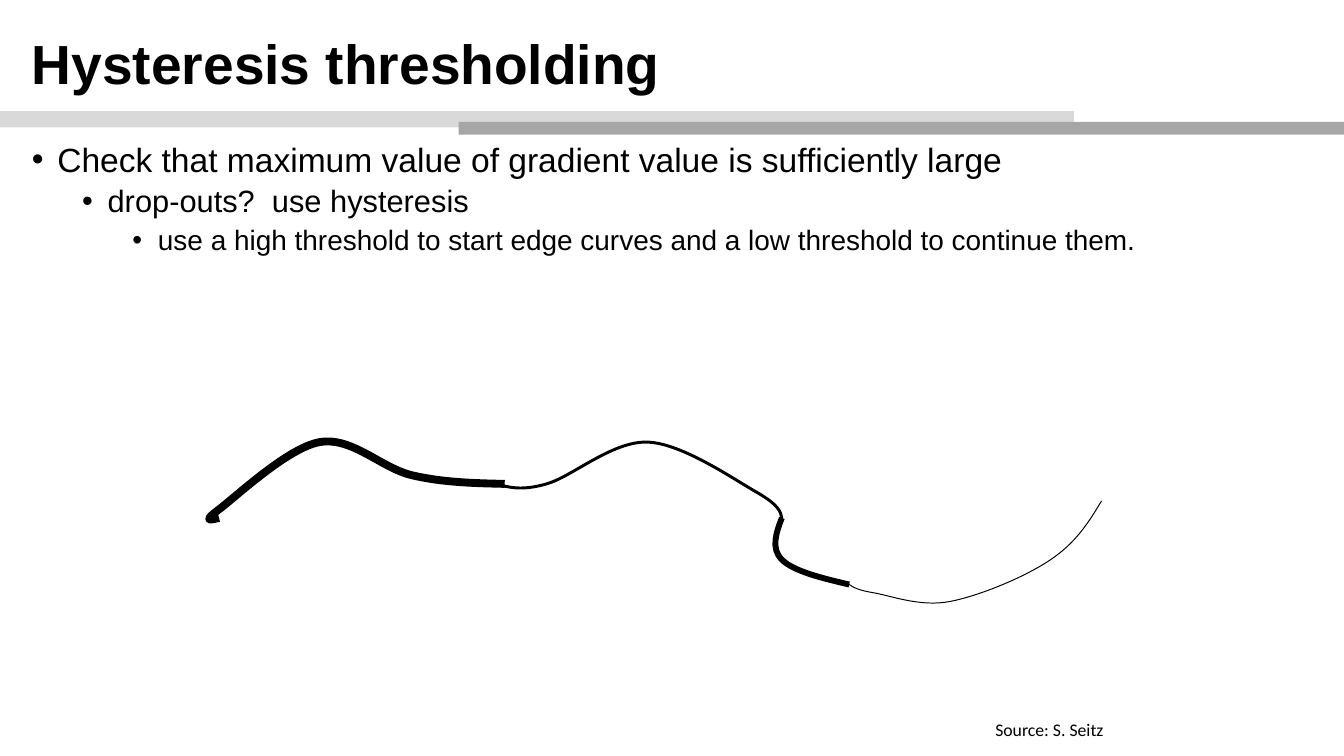
from dataclasses import dataclass

from lxml import etree
from pptx import Presentation
from pptx.dml.color import RGBColor
from pptx.enum import shapes, text
from pptx.oxml import ns
from pptx.util import Inches, Pt


@dataclass(frozen=True)
class Theme:
    ink: RGBColor = RGBColor(0, 0, 0)
    pale: RGBColor = RGBColor(0xD9, 0xD9, 0xD9)
    gray: RGBColor = RGBColor(0xA6, 0xA6, 0xA6)
    main: str = "Arial"
    note: str = "Calibri"
    title: float = 56
    levels: tuple = (34.1, 31.3, 28.4)
    source: float = 18


class Deck:
    def __init__(self, slide, theme):
        self.slide = slide
        self.theme = theme

    def bar(self, box, color):
        bar = self.slide.shapes.add_shape(
            shapes.MSO_SHAPE.RECTANGLE, *map(Inches, box))
        bar.shadow.inherit = False
        bar.fill.solid()
        bar.fill.fore_color.rgb = color
        bar.line.fill.background()

    def frame(self, box, inset=0.1):
        frame = self.slide.shapes.add_textbox(*map(Inches, box)).text_frame
        frame.word_wrap = True
        frame.margin_left = frame.margin_right = Inches(inset)
        return frame

    def style(self, para, words, size, face, bold=False):
        para.text = words
        font = para.font
        font.size, font.name, font.bold = Pt(size), face, bold
        font.color.rgb = self.theme.ink

    def title(self, box, words):
        frame = self.frame(box)
        frame.vertical_anchor = text.MSO_ANCHOR.MIDDLE
        para = frame.paragraphs[0]
        para.line_spacing = 0.9
        self.style(para, words, self.theme.title, self.theme.main, True)

    def bullets(self, box, lines):
        frame = self.frame(box)
        for level, words in enumerate(lines):
            para = frame.add_paragraph() if level else frame.paragraphs[0]
            para.level = level
            para.line_spacing = 0.9
            para.space_before = Pt(7.1 if level else 0)
            props = para._p.get_or_add_pPr()
            props.set("marL", str(Inches(0.36 + 0.71 * level)))
            props.set("indent", str(Inches(-0.36)))
            face = etree.SubElement(props, ns.qn("a:buFont"))
            face.set("typeface", self.theme.main)
            etree.SubElement(props, ns.qn("a:buChar")).set("char", "•")
            self.style(para, words, self.theme.levels[level], self.theme.main)

    def source(self, box, words):
        frame = self.frame(box, 0.05)
        self.style(frame.paragraphs[0], words, self.theme.source, self.theme.note)

    def curve(self, width, points):
        start, *rest = [tuple(map(Inches, point)) for point in points]
        pen = self.slide.shapes.build_freeform(*start)
        pen.add_line_segments(rest, close=False)
        curve = pen.convert_to_shape()
        curve.shadow.inherit = False
        curve.fill.background()
        curve.line.color.rgb = self.theme.ink
        curve.line.width = Pt(width)
        steps = list(curve._element.iter(ns.qn("a:lnTo")))
        for at in range(0, len(steps), 3):
            bend = etree.Element(ns.qn("a:cubicBezTo"))
            steps[at].addprevious(bend)
            for step in steps[at:at + 3]:
                bend.append(step[0])
                step.getparent().remove(step)


CURVES = [
    (8, [(3.09, 7.31), (2.97, 7.34), (2.85, 7.37), (3.09, 7.19),
         (3.33, 7.01), (4.06, 6.32), (4.51, 6.24),
         (4.97, 6.16), (5.38, 6.61), (5.82, 6.71),
         (6.25, 6.81), (6.69, 6.82), (7.12, 6.83)]),
    (3, [(7, 6.83), (7.18, 6.88), (7.36, 6.93), (7.71, 6.83),
         (8.07, 6.73), (8.64, 6.22), (9.14, 6.24),
         (9.63, 6.26), (10.36, 6.77), (10.68, 6.95),
         (10.99, 7.13), (11.01, 7.22), (11.03, 7.31)]),
    (6, [(11.03, 7.31), (10.95, 7.52), (10.87, 7.74), (11.03, 7.9),
         (11.19, 8.06), (11.59, 8.16), (11.98, 8.25)]),
    (1, [(11.98, 8.25), (12.04, 8.29), (12.1, 8.33), (12.34, 8.37),
         (12.57, 8.41), (12.99, 8.57), (13.4, 8.49),
         (13.82, 8.41), (14.47, 8.14), (14.82, 7.9),
         (15.18, 7.66), (15.36, 7.37), (15.54, 7.07)]),
]


def main():
    show = Presentation()
    show.slide_width, show.slide_height = Inches(18.96), Inches(10.67)
    theme = Theme()
    deck = Deck(show.slides.add_slide(show.slide_layouts[6]), theme)
    deck.bar((0, 1.57, 15.15, 0.23), theme.pale)
    deck.bar((6.47, 1.72, 12.49, 0.18), theme.gray)
    deck.title((0.35, 0.22, 18.23, 1.44), "Hysteresis thresholding")
    deck.bullets((0.35, 1.97, 18.26, 8.48), [
        "Check that maximum value of gradient value is sufficiently large",
        "drop-outs?  use hysteresis",
        "use a high threshold to start edge curves and a low threshold to continue them.",
    ])
    for width, points in CURVES:
        deck.curve(width, points)
    deck.source((13.99, 10.1, 3.08, 0.4), "Source: S. Seitz")
    show.save("out.pptx")


if __name__ == "__main__":
    main()
